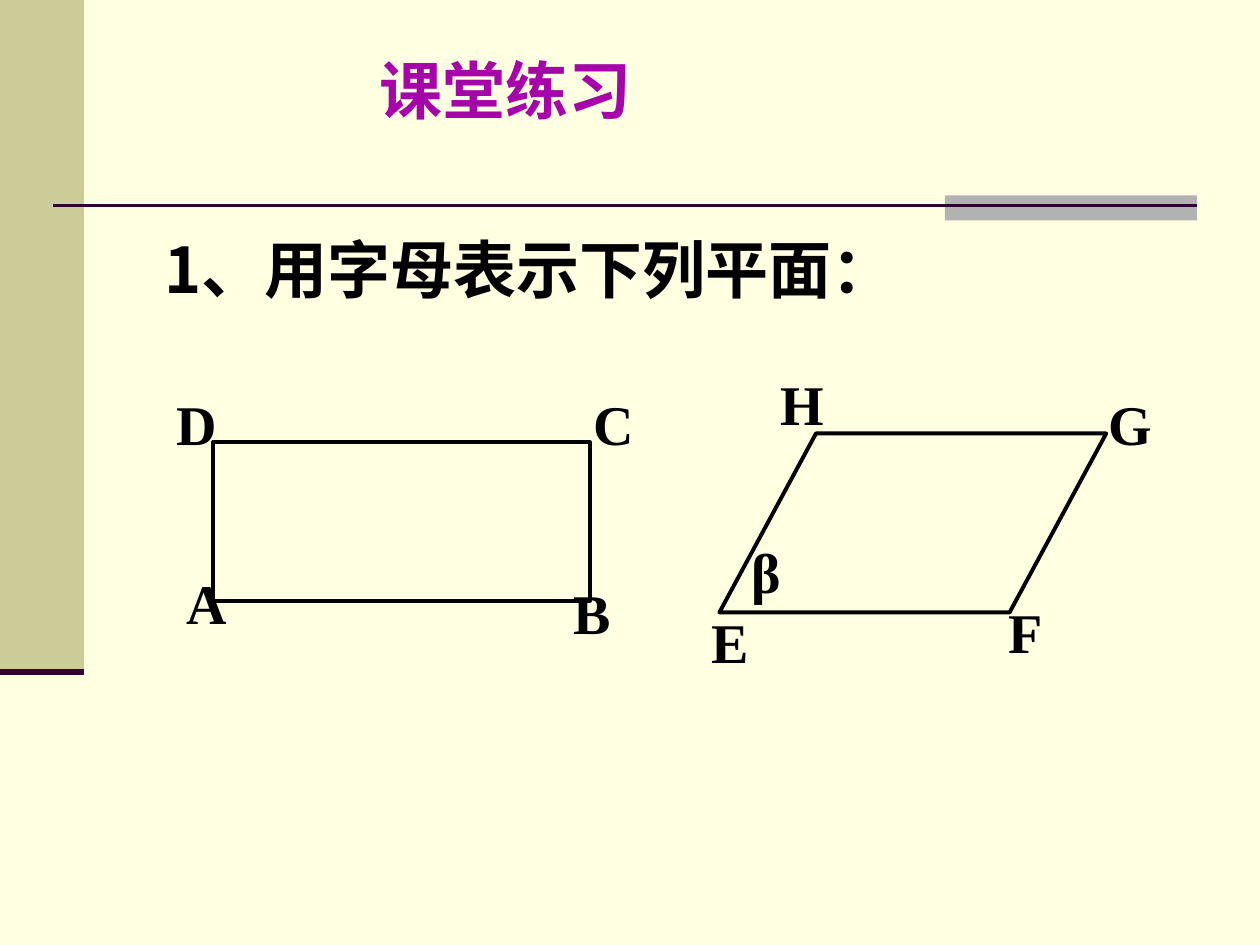
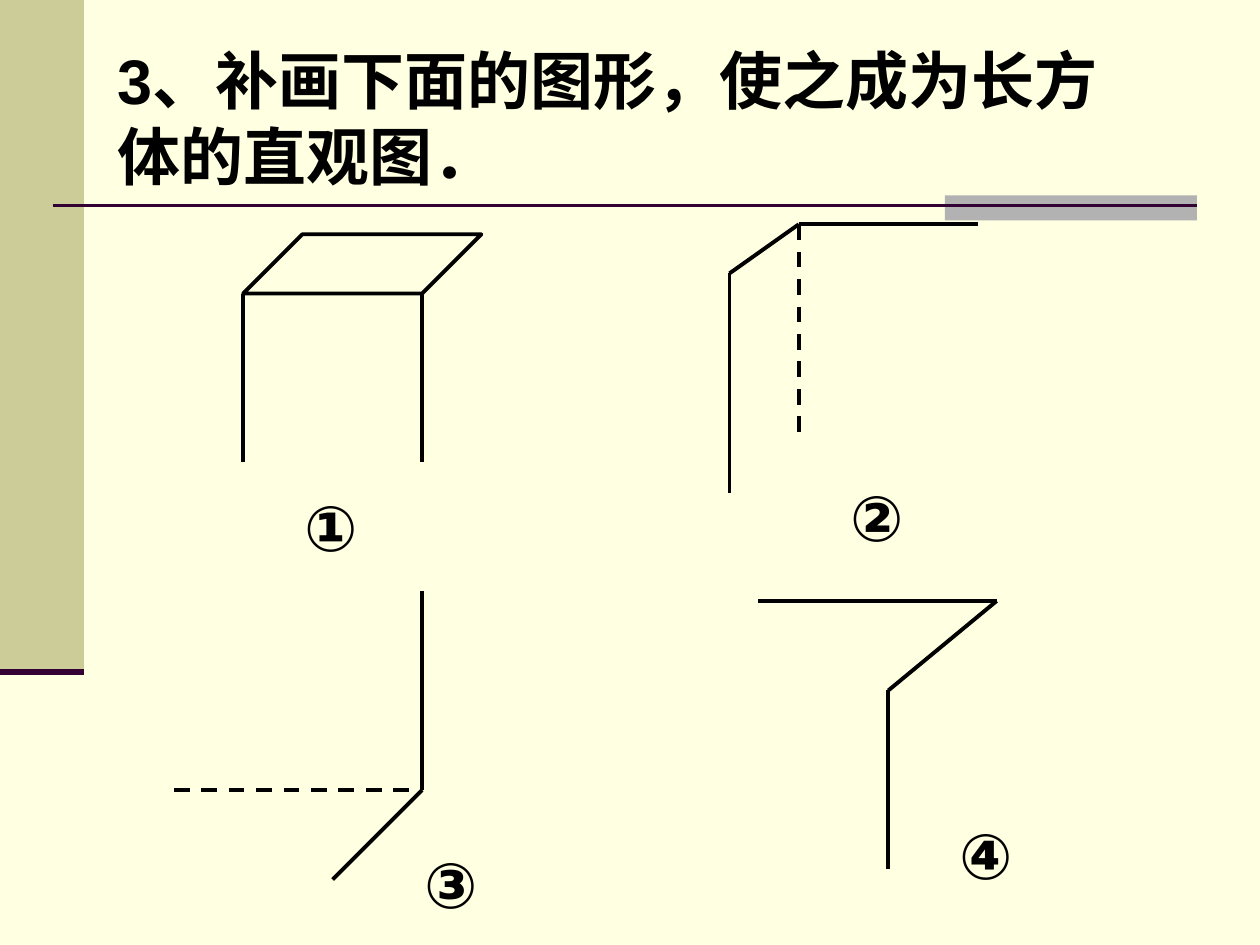
from lxml import etree
from pptx import Presentation
from pptx.dml.color import RGBColor
from pptx.enum.dml import MSO_LINE
from pptx.enum.shapes import MSO_CONNECTOR, MSO_SHAPE
from pptx.enum.text import MSO_ANCHOR, PP_ALIGN
from pptx.oxml.ns import qn
from pptx.util import Inches, Pt

RECT, SLANT = MSO_SHAPE.RECTANGLE, MSO_SHAPE.PARALLELOGRAM
STRAIGHT, DASH = MSO_CONNECTOR.STRAIGHT, MSO_LINE.DASH
TOP, LEFT = MSO_ANCHOR.TOP, PP_ALIGN.LEFT

CREAM = RGBColor(0xFF, 0xFF, 0xE1)
KHAKI = RGBColor(0xCC, 0xCC, 0x99)
GREY = RGBColor(0xB2, 0xB2, 0xB2)
PLUM = RGBColor(0x33, 0x00, 0x33)
PURPLE = RGBColor(0xA6, 0x03, 0xAB)
BLACK = RGBColor(0, 0, 0)
SANS, HAN, SERIF = "Arial", "Noto Sans CJK SC", "Times New Roman"

prs = Presentation()
prs.slide_width, prs.slide_height = Inches(10), Inches(7.5)
U = prs.slide_width / 100  # grid of 100 columns by 75 rows


def write(box, place, text, size=36, face=SANS, color=BLACK):
    """Place a text shape on the grid and fill it with one bold line."""
    box.left, box.top, box.width, box.height = [round(v * U) for v in place]
    frame = box.text_frame
    frame.word_wrap, frame.vertical_anchor = True, TOP
    para = frame.paragraphs[0]
    para.alignment = LEFT
    run = para.add_run()
    run.text = text
    for key, value in dict(size=Pt(size), bold=True, name=face).items():
        setattr(run.font, key, value)
    run.font.color.rgb = color
    etree.SubElement(run.font._element, qn("a:ea"), typeface=face)


def draw(slide, start, end, color=BLACK, width=2.25, dash=None):
    """Join two grid points with a straight line."""
    ends = [round(v * U) for v in (*start, *end)]
    line = slide.shapes.add_connector(STRAIGHT, *ends)
    line.line.color.rgb, line.line.width = color, Pt(width)
    if dash:
        line.line.dash_style = dash
    etree.SubElement(line._element.spPr, qn("a:effectLst"))


# Shared background, bands and rules
fill = prs.slide_master.background.fill
fill.solid()
fill.fore_color.rgb = CREAM
slides = [prs.slides.add_slide(prs.slide_layouts[5]) for _ in range(2)]
for slide in slides:
    for place, color in (((0, 0, 6.67, 53.3), KHAKI), ((75, 15.5, 20, 2), GREY)):
        band = slide.shapes.add_shape(RECT, *[round(v * U) for v in place])
        band.shadow.inherit = False
        band.fill.solid()
        band.fill.fore_color.rgb = color
        band.line.fill.background()
    draw(slide, (4.2, 16.3), (95, 16.3), PLUM, 1.5)
    draw(slide, (0, 53.3), (6.67, 53.3), PLUM, 3.5)
naming, boxes = slides

# Outlined planes on both slides
for slide, kind, place, slope in (
        (naming, RECT, (16.9, 35.1, 29.9, 12.6), None),
        (naming, SLANT, (57.1, 34.4, 30.7, 14.2), 0.54),
        (boxes, SLANT, (19.3, 18.6, 18.9, 4.7), 1)):
    plane = slide.shapes.add_shape(kind, *[round(v * U) for v in place])
    plane.shadow.inherit = False
    plane.fill.background()
    plane.line.color.rgb, plane.line.width = BLACK, Pt(2.25)
    if slope:
        plane.adjustments[0] = slope

# Slide 1: naming planes by letters
write(naming.shapes.title, (29.1, 3.6, 26, 8.8), "课堂练习", face=HAN, color=PURPLE)
write(naming.shapes.add_textbox(0, 0, 0, 0), (12.1, 17.8, 74.8, 7),
      "1、用字母表示下列平面：", face=HAN)

corners = {"A": (13.8, 44.6), "B": (44.5, 45.4), "C": (46.1, 30.4),
           "D": (13, 30.4), "E": (55.5, 47.7), "F": (79.1, 46.9),
           "G": (87, 30.4), "H": (61, 28.8), "β": (58.7, 42.2)}
for letter, spot in corners.items():
    write(naming.shapes.add_textbox(0, 0, 0, 0), (*spot, 6.3, 6.4), letter,
          size=32, face=SERIF)

# Slide 2: cuboids to complete
write(boxes.shapes.title, (8.3, 2.8, 81.1, 13),
      "3、补画下面的图形，使之成为长方体的直观图．")

# Each figure: number, its box, solid paths, dashed paths
figures = [
    ("①", (23.2, 38.3),
     [[(19.3, 23.3), (19.3, 36.7)], [(33.5, 23.3), (33.5, 36.7)]], []),
    ("②", (66.5, 37.5),
     [[(77.6, 17.8), (63.4, 17.8), (57.9, 21.7), (57.9, 39.1)]],
     [[(63.4, 17.8), (63.4, 35.1)]]),
    ("③", (32.7, 66.6),
     [[(33.5, 46.9), (33.5, 62.7), (26.4, 69.8)]],
     [[(13.8, 62.7), (33.5, 62.7)]]),
    ("④", (75.2, 64.3),
     [[(60.2, 47.7), (79.1, 47.7), (70.5, 54.8), (70.5, 69)]], []),
]
for number, spot, solid, dashed in figures:
    for paths, dash in ((solid, None), (dashed, DASH)):
        for path in paths:
            for start, end in zip(path, path[1:]):
                draw(boxes, start, end, dash=dash)
    write(boxes.shapes.add_textbox(0, 0, 0, 0), (*spot, 8, 7), number)

prs.save("out.pptx")
